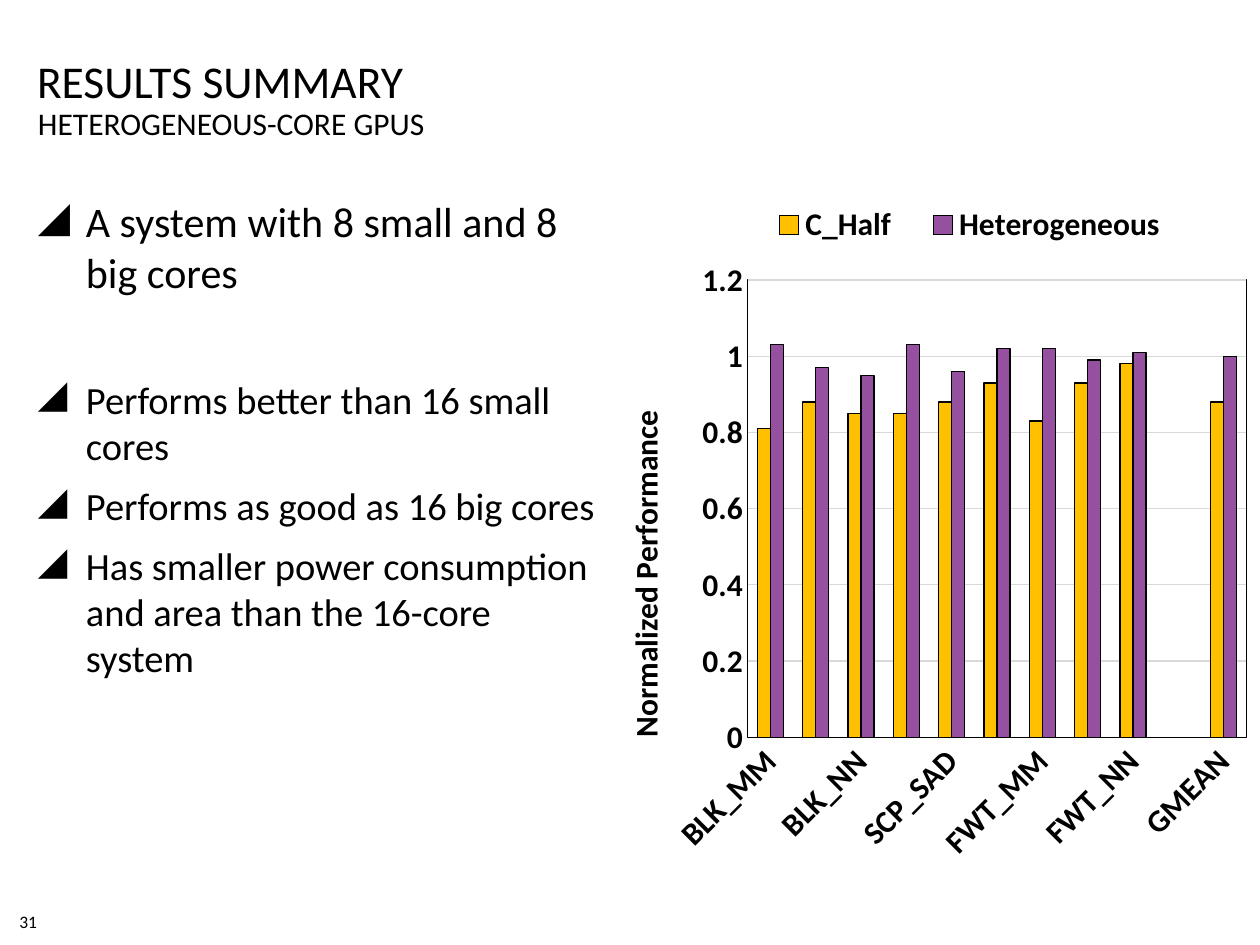
from dataclasses import dataclass

import lxml.etree
import pptx
import pptx.chart.data
import pptx.dml.color
import pptx.enum.chart
import pptx.enum.text
import pptx.oxml.ns
import pptx.util

PX_PER_INCH = 126
qn = pptx.oxml.ns.qn


def px(length):
    return pptx.util.Emu(round(length * 914400 / PX_PER_INCH))


def rgb(code):
    return pptx.dml.color.RGBColor.from_string(code)


@dataclass(frozen=True)
class Theme:
    font: str = "Calibri"
    ink: str = "000000"
    grid: str = "D9D9D9"
    half: str = "FFC000"
    heterogeneous: str = "9650A0"
    title: int = 26
    subtitle: int = 18
    lead: int = 24
    point: int = 22
    chart: int = 18
    number: int = 10
    hairline: float = 0.75


def place(element, index, **fractions):
    """Give a chart part a manual layout, in fractions of the chart."""
    layout = element.find(qn("c:layout"))
    if layout is None:
        layout = lxml.etree.Element(qn("c:layout"))
        element.insert(index, layout)
    manual = lxml.etree.SubElement(layout, qn("c:manualLayout"))
    if element.tag == qn("c:plotArea"):
        lxml.etree.SubElement(manual, qn("c:layoutTarget"), val="inner")
    for mode in ("xMode", "yMode"):
        lxml.etree.SubElement(manual, qn(f"c:{mode}"), val="edge")
    for side, value in fractions.items():
        lxml.etree.SubElement(manual, qn(f"c:{side}"), val=str(value))


class SlideBuilder:
    def __init__(self, slide, theme):
        self.slide = slide
        self.theme = theme

    def style(self, font, size, bold=False):
        font.name = self.theme.font
        font.size = pptx.util.Pt(size)
        font.bold = bold
        font.color.rgb = rgb(self.theme.ink)

    def outline(self, line):
        line.color.rgb = rgb(self.theme.ink)
        line.width = pptx.util.Pt(self.theme.hairline)

    def add_text(self, paragraph, text, *, size, align=pptx.enum.text.PP_ALIGN.LEFT,
                 before=0, bullet=None, indent=0):
        paragraph.alignment = align
        paragraph.space_before = pptx.util.Pt(before)
        run = paragraph.add_run()
        run.text = text
        self.style(run.font, size)
        if bullet:
            properties = paragraph._p.get_or_add_pPr()
            properties.set("marL", str(px(indent)))
            properties.set("indent", str(-px(indent)))
            color = lxml.etree.SubElement(properties, qn("a:buClr"))
            lxml.etree.SubElement(color, qn("a:srgbClr"), val=self.theme.ink)
            lxml.etree.SubElement(properties, qn("a:buChar"), char=bullet)

    def frame(self, shape, box, margins=(0, 0, 0, 0), anchor="TOP", wrap=True):
        shape.left, shape.top, shape.width, shape.height = map(px, box)
        frame = shape.text_frame
        frame.auto_size = pptx.enum.text.MSO_AUTO_SIZE.NONE
        frame.word_wrap = wrap
        frame.vertical_anchor = pptx.enum.text.MSO_ANCHOR[anchor]
        (frame.margin_left, frame.margin_top,
         frame.margin_right, frame.margin_bottom) = map(px, margins)
        return frame

    def title(self, text, box):
        frame = self.frame(self.slide.shapes.title, box, (0, 6, 0, 0), "BOTTOM")
        self.add_text(frame.paragraphs[0], text, size=self.theme.title)

    def label(self, text, box, *, size, margins=(0, 0, 0, 0), anchor="TOP",
              wrap=True, **text_format):
        shape = self.slide.shapes.add_textbox(*map(px, box))
        frame = self.frame(shape, box, margins, anchor, wrap)
        self.add_text(frame.paragraphs[0], text, size=size, **text_format)

    def bullets(self, points, box):
        shape = self.slide.shapes.add_textbox(*map(px, box))
        frame = self.frame(shape, box, (0, 6, 0, 6))
        for index, (text, size, before) in enumerate(points):
            paragraph = frame.add_paragraph() if index else frame.paragraphs[0]
            self.add_text(paragraph, text, size=size, before=before, bullet="◢", indent=48)

    def column_chart(self, categories, series, value_title, box):
        data = pptx.chart.data.CategoryChartData()
        data.categories = categories
        for name, values, _ in series:
            data.add_series(name, values)
        chart = self.slide.shapes.add_chart(
            pptx.enum.chart.XL_CHART_TYPE.COLUMN_CLUSTERED, *map(px, box), data).chart
        chart.has_title = False
        self.style(chart.font, self.theme.chart, bold=True)

        plot = chart.plots[0]
        plot.gap_width, plot.overlap = 150, 0
        plot.vary_by_categories = False
        for drawn, (_, _, color) in zip(plot.series, series):
            drawn.format.fill.solid()
            drawn.format.fill.fore_color.rgb = rgb(color)
            self.outline(drawn.format.line)

        self.axes(chart, value_title)
        self.legend(chart)
        self.plot_area(chart)

    def axes(self, chart, value_title):
        benchmarks, performance = chart.category_axis, chart.value_axis
        for axis in (benchmarks, performance):
            axis.major_tick_mark = pptx.enum.chart.XL_TICK_MARK.NONE
            axis.minor_tick_mark = pptx.enum.chart.XL_TICK_MARK.NONE
            self.style(axis.tick_labels.font, self.theme.chart, bold=True)
        self.outline(benchmarks.format.line)
        labels = chart.element.find(f".//{qn('c:catAx')}/{qn('c:txPr')}/{qn('a:bodyPr')}")
        labels.set("rot", str(-45 * 60000))

        performance.minimum_scale, performance.maximum_scale = 0, 1.2
        performance.major_unit = 0.2
        performance.format.line.fill.background()
        grid = performance.major_gridlines.format.line
        grid.color.rgb = rgb(self.theme.grid)
        grid.width = pptx.util.Pt(self.theme.hairline)

        run = performance.axis_title.text_frame.paragraphs[0].add_run()
        run.text = value_title
        self.style(run.font, self.theme.chart, bold=True)
        title = chart.element.find(f".//{qn('c:valAx')}/{qn('c:title')}")
        title.find(f".//{qn('a:bodyPr')}").set("rot", str(-90 * 60000))
        place(title, 1, x=0.06, y=0.31)

    def legend(self, chart):
        chart.has_legend = True
        chart.legend.position = pptx.enum.chart.XL_LEGEND_POSITION.TOP
        chart.legend.include_in_layout = False
        self.style(chart.legend.font, self.theme.chart, bold=True)
        place(chart.element.find(f".//{qn('c:legend')}"), 1, x=0.25, y=0.02, w=0.65, h=0.06)

    def plot_area(self, chart):
        area = chart.element.find(f".//{qn('c:plotArea')}")
        place(area, 0, x=0.25, y=0.13, w=0.73, h=0.66)
        border = lxml.etree.SubElement(
            lxml.etree.SubElement(area, qn("c:spPr")), qn("a:ln"),
            w=str(pptx.util.Pt(self.theme.hairline)))
        fill = lxml.etree.SubElement(border, qn("a:solidFill"))
        lxml.etree.SubElement(fill, qn("a:srgbClr"), val=self.theme.ink)


def main():
    theme = Theme()
    deck = pptx.Presentation()
    deck.slide_width, deck.slide_height = px(1260), px(945)
    page = SlideBuilder(deck.slides.add_slide(deck.slide_layouts[5]), theme)

    page.label("31", (16, 905, 21, 33), size=theme.number, margins=(0, 5, 0, 5),
               anchor="MIDDLE", wrap=False, align=pptx.enum.text.PP_ALIGN.RIGHT)
    page.title("RESULTS SUMMARY", (37, 43, 1058, 65))
    page.label("HETEROGENEOUS-CORE GPUS", (38, 104, 1058, 39), size=theme.subtitle)

    benchmarks = [f"{suite}_{kernel}" for suite in ("BLK", "SCP", "FWT")
                  for kernel in ("MM", "SAD", "NN")]
    page.column_chart(
        benchmarks + ["", "GMEAN"],
        [("C_Half", (0.81, 0.88, 0.85, 0.85, 0.88, 0.93, 0.83, 0.93, 0.98, None, 0.88),
          theme.half),
         ("Heterogeneous", (1.03, 0.97, 0.95, 1.03, 0.96, 1.02, 1.02, 0.99, 1.01, None, 1),
          theme.heterogeneous)],
        "Normalized Performance", (577, 190, 683, 693))

    page.bullets([
        ("A system with 8 small and 8 big cores", theme.lead, 0),
        ("Performs better than 16 small cores", theme.point, 45),
        ("Performs as good as 16 big cores", theme.point, 8),
        ("Has smaller power consumption and area than the 16-core system", theme.point, 8),
    ], (38, 190, 567, 693))

    deck.save("out.pptx")


if __name__ == "__main__":
    main()
